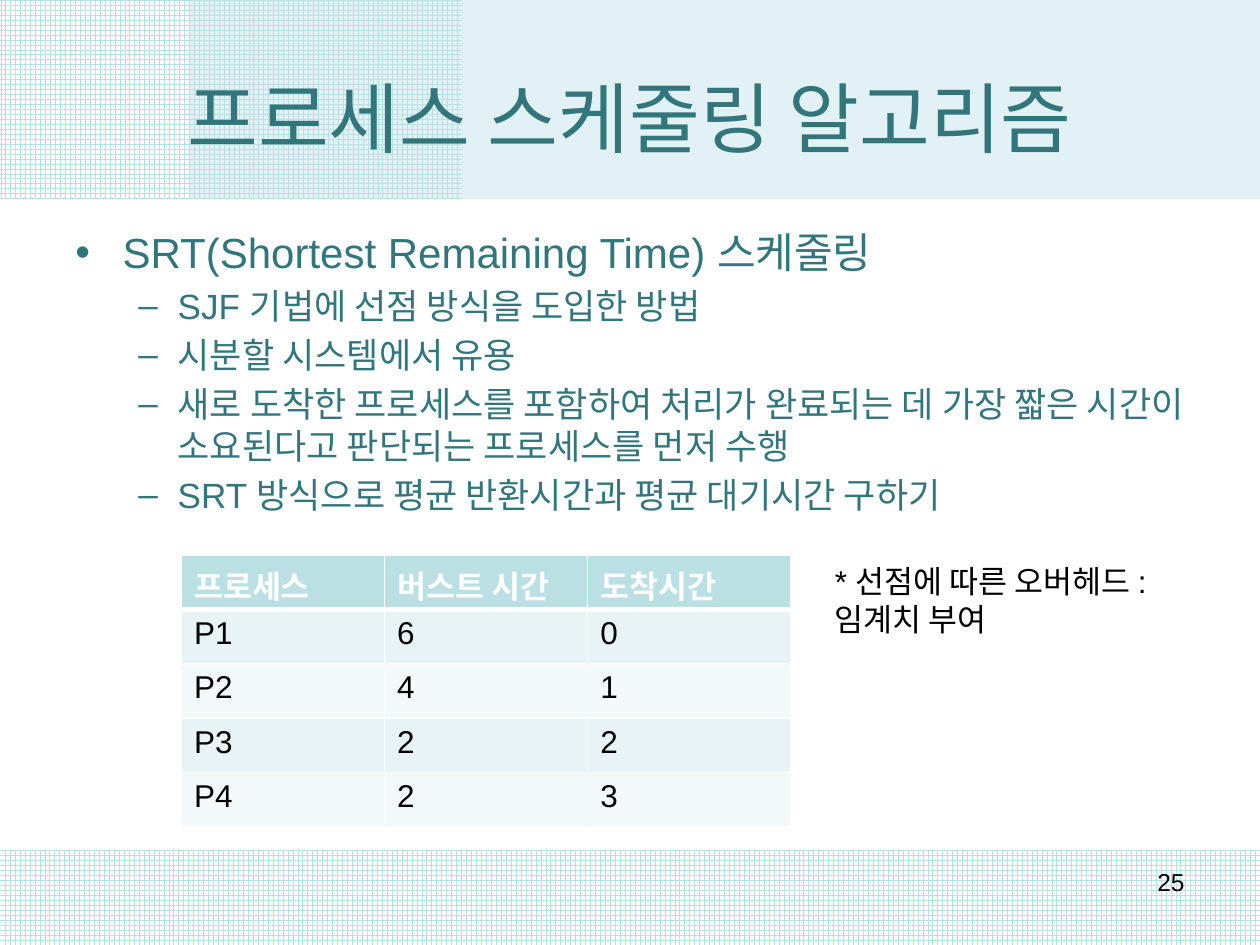
from lxml.etree import SubElement
from pptx import Presentation
from pptx.dml.color import RGBColor
from pptx.enum.dml import MSO_PATTERN
from pptx.enum.shapes import MSO_SHAPE
from pptx.enum.text import MSO_ANCHOR, MSO_AUTO_SIZE, PP_ALIGN
from pptx.oxml.ns import qn
from pptx.util import Pt

# Content
TITLE = "프로세스 스케줄링 알고리즘"
BODY = [
    (0, "SRT(Shortest Remaining Time) 스케줄링"),
    (1, "SJF 기법에 선점 방식을 도입한 방법"),
    (1, "시분할 시스템에서 유용"),
    (1, "새로 도착한 프로세스를 포함하여 처리가 완료되는 데 가장 짧은 "
        "시간이 소요된다고 판단되는 프로세스를 먼저 수행"),
    (1, "SRT 방식으로 평균 반환시간과 평균 대기시간 구하기"),
]
PROCESSES = [
    ("프로세스", "버스트 시간", "도착시간"),
    ("P1", "6", "0"),
    ("P2", "4", "1"),
    ("P3", "2", "2"),
    ("P4", "2", "3"),
]
NOTE = "* 선점에 따른 오버헤드 : 임계치 부여"
PAGE = "25"

THEME = {
    "font": "Arial",
    "ink": "32757A", "text": "000000", "paper": "FFFFFF", "accent": "BBE0E3",
    "stripes": ("E7F3F4", "F3F9FA"),
    "title": 44, "levels": (24, 20), "table": 18, "page": 14,
}
BULLETS = [("•", 27, -27), ("–", 58.5, -22.5)]  # sign, left margin, indent

# Layout: left, top, width, height
W, H = 720, 540
HEADER_H, FOOTER_H = 114, 54
BANDS = [
    ((0, H - FOOTER_H, W, FOOTER_H), "grid"),
    ((0, 0, 264, HEADER_H), "grid"),
    ((108, 0, W - 108, HEADER_H), "tint"),
]
TITLE_BOX = (36, 21.6, 648, 90)
BODY_BOX = (36, 126, 648, 356.4)
TABLE_BOX = (103.7, 317.5, 348.3, 154.8)
NOTE_BOX = (470, 317.5, 206.6, 51)
PAGE_BOX = (516, 492, 168, 37.4)


def rgb(key):
    return RGBColor.from_string(THEME.get(key, key))


def points(box):
    return [Pt(v) for v in box]


def write(p, text, size, color="text", bold=False, align=PP_ALIGN.LEFT):
    p.alignment = align
    r = p.add_run()
    r.text = text
    formats = {"name": THEME["font"], "size": Pt(size), "bold": bold}
    for name, value in formats.items():
        setattr(r.font, name, value)
    r.font.color.rgb = rgb(color)


def add_text(s, box):
    tf = s.shapes.add_textbox(*points(box)).text_frame
    tf.word_wrap = True
    return tf


def add_band(s, box, style):
    sp = s.shapes.add_shape(MSO_SHAPE.FLOWCHART_PROCESS, *points(box))
    sp.shadow.inherit = False
    sp.line.fill.background()
    if style == "grid":
        sp.fill.patterned()
        sp.fill.pattern = MSO_PATTERN.LARGE_GRID
        sp.fill.fore_color.rgb = rgb("accent")
        sp.fill.back_color.rgb = rgb("paper")
    else:
        sp.fill.solid()
        sp.fill.fore_color.rgb = rgb("accent")
        color = sp.fill._xPr.find(".//" + qn("a:srgbClr"))
        SubElement(color, qn("a:alpha"), val="42000")


def set_bullet(p, level):
    sign, margin, indent = BULLETS[level]
    pPr = p._p.get_or_add_pPr()
    pPr.set("marL", str(Pt(margin)))
    pPr.set("indent", str(Pt(indent)))
    SubElement(pPr, qn("a:buFont"), typeface=THEME["font"])
    SubElement(pPr, qn("a:buChar"), char=sign)


def set_borders(cell, widths):
    tcPr = cell._tc.get_or_add_tcPr()
    for side, width in widths.items():
        ln = SubElement(tcPr, qn("a:ln" + side), w=str(Pt(width)))
        fill = SubElement(ln, qn("a:solidFill"))
        SubElement(fill, qn("a:srgbClr"), val=THEME["paper"])


def add_process_table(s):
    rows, cols = len(PROCESSES), len(PROCESSES[0])
    table = s.shapes.add_table(rows, cols, *points(TABLE_BOX)).table
    for i, values in enumerate(PROCESSES):
        head = i == 0
        fill = "accent" if head else THEME["stripes"][(i - 1) % 2]
        widths = {"L": 1, "R": 1, "T": 3 if i == 1 else 1, "B": 3 if head else 1}
        for j, value in enumerate(values):
            cell = table.cell(i, j)
            set_borders(cell, widths)
            cell.fill.solid()
            cell.fill.fore_color.rgb = rgb(fill)
            write(cell.text_frame.paragraphs[0], value, THEME["table"],
                  "paper" if head else "text", bold=head)


def main():
    prs = Presentation()
    prs.slide_width, prs.slide_height = Pt(W), Pt(H)
    s = prs.slides.add_slide(prs.slide_layouts[5])

    # Background bands
    for box, style in BANDS:
        add_band(s, box, style)

    # Title, in front of the bands
    title = s.shapes.title
    s.shapes._spTree.append(title._element)
    for name, value in zip(("left", "top", "width", "height"), points(TITLE_BOX)):
        setattr(title, name, value)
    tf = title.text_frame
    tf.auto_size = MSO_AUTO_SIZE.NONE
    tf.vertical_anchor = MSO_ANCHOR.MIDDLE
    write(tf.paragraphs[0], TITLE, THEME["title"], "ink", align=PP_ALIGN.CENTER)

    # Bulleted body
    tf = add_text(s, BODY_BOX)
    for i, (level, text) in enumerate(BODY):
        p = tf.add_paragraph() if i else tf.paragraphs[0]
        size = THEME["levels"][level]
        p.level = level
        p.space_before = Pt(size * 0.2)
        set_bullet(p, level)
        write(p, text, size, "ink")

    # Page number, process table and side note
    write(add_text(s, PAGE_BOX).paragraphs[0], PAGE, THEME["page"],
          align=PP_ALIGN.RIGHT)
    add_process_table(s)
    write(add_text(s, NOTE_BOX).paragraphs[0], NOTE, THEME["table"])

    prs.save("out.pptx")


if __name__ == "__main__":
    main()
